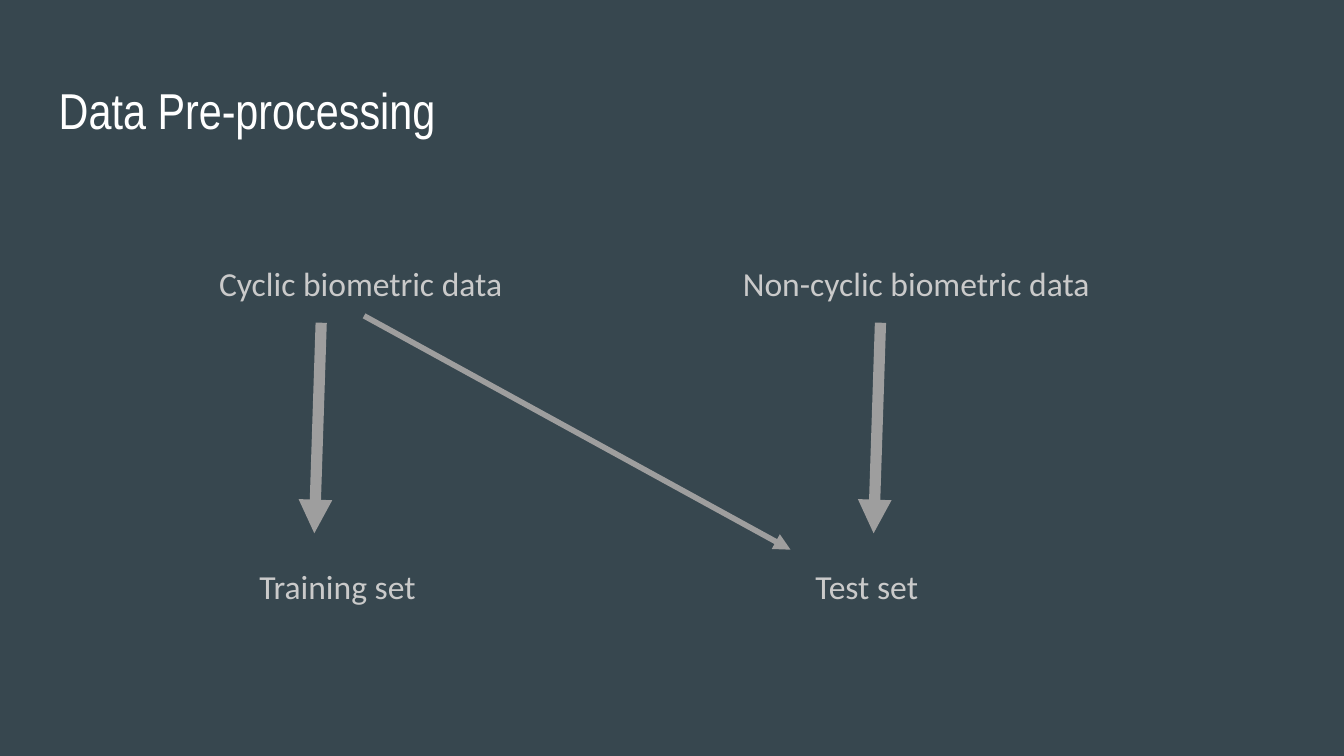
from pptx import Presentation
from pptx.dml.color import RGBColor as Rgb
from pptx.enum.shapes import MSO_CONNECTOR as Link
from pptx.enum.text import MSO_ANCHOR as Anchor, MSO_AUTO_SIZE as Fit, PP_ALIGN as Align
from pptx.oxml.ns import qn
from pptx.util import Cm, Pt
from lxml.etree import SubElement as Sub

theme = {
    "back": Rgb.from_string("37474F"),
    "arrow": Rgb.from_string("9E9E9E"),
    "title": {"name": "Arial Narrow", "size": Pt(27), "color": Rgb.from_string("FFFFFF")},
    "label": {"name": "Calibri", "size": Pt(18), "color": Rgb.from_string("CACACA")},
}
inset = Cm(0.25)
frame = {
    "word_wrap": True,
    "auto_size": Fit.NONE,
    "vertical_anchor": Anchor.TOP,
    "margin_left": inset,
    "margin_top": inset,
    "margin_right": inset,
    "margin_bottom": inset,
}
spacing = {
    "title": {"line_spacing": 1.0, "space_after": Pt(0)},
    "label": {"line_spacing": 1.15, "space_after": Pt(12)},
}


def apply(item, values):
    for key, value in values.items():
        setattr(item, key, value)


def write(holder, text, box, style):
    apply(holder, dict(zip(("left", "top", "width", "height"), map(Cm, box))))
    body = holder.text_frame
    body.text = text
    apply(body, frame)
    line = body.paragraphs[0]
    apply(line, {"alignment": Align.LEFT, "space_before": Pt(0), **spacing[style]})
    props = line._p.get_or_add_pPr()
    props.set("marL", "0")
    props.set("indent", "0")
    Sub(props, qn("a:buNone"))
    look = theme[style]
    font = line.runs[0].font
    apply(font, {"name": look["name"], "size": look["size"], "bold": False})
    font.color.rgb = look["color"]


deck = Presentation()
apply(deck, {"slide_width": Cm(25.4), "slide_height": Cm(14.29)})
slide = deck.slides.add_slide(deck.slide_layouts[4])
slide.background.fill.solid()
slide.background.fill.fore_color.rgb = theme["back"]

write(slide.shapes.title, "Data Pre-processing", (0.86, 1.24, 23.67, 1.6), "title")

source, result = (4.6, 8.81, 2.11), (10.34, 4.22, 2.11)
labels = [
    ("Cyclic biometric data", 3.89, source),
    ("Non-cyclic biometric data", 13.79, source),
    ("Training set", 4.65, result),
    ("Test set", 15.16, result),
]
for spot, (text, left, size) in enumerate(labels, 1):
    write(slide.placeholders[spot], text, (left, *size), "label")

arrows = [
    (6.07, 6.1, 5.94, 10.08, 6),
    (16.64, 6.1, 16.51, 10.08, 6),
    (6.88, 5.97, 14.94, 10.39, 3),
]
for *ends, width in arrows:
    arrow = slide.shapes.add_connector(Link.STRAIGHT, *map(Cm, ends))
    arrow.line.color.rgb = theme["arrow"]
    arrow.line.width = Pt(width)
    Sub(arrow.line._get_or_add_ln(), qn("a:tailEnd"), type="triangle")
    Sub(arrow._element.spPr, qn("a:effectLst"))

deck.save("out.pptx")
